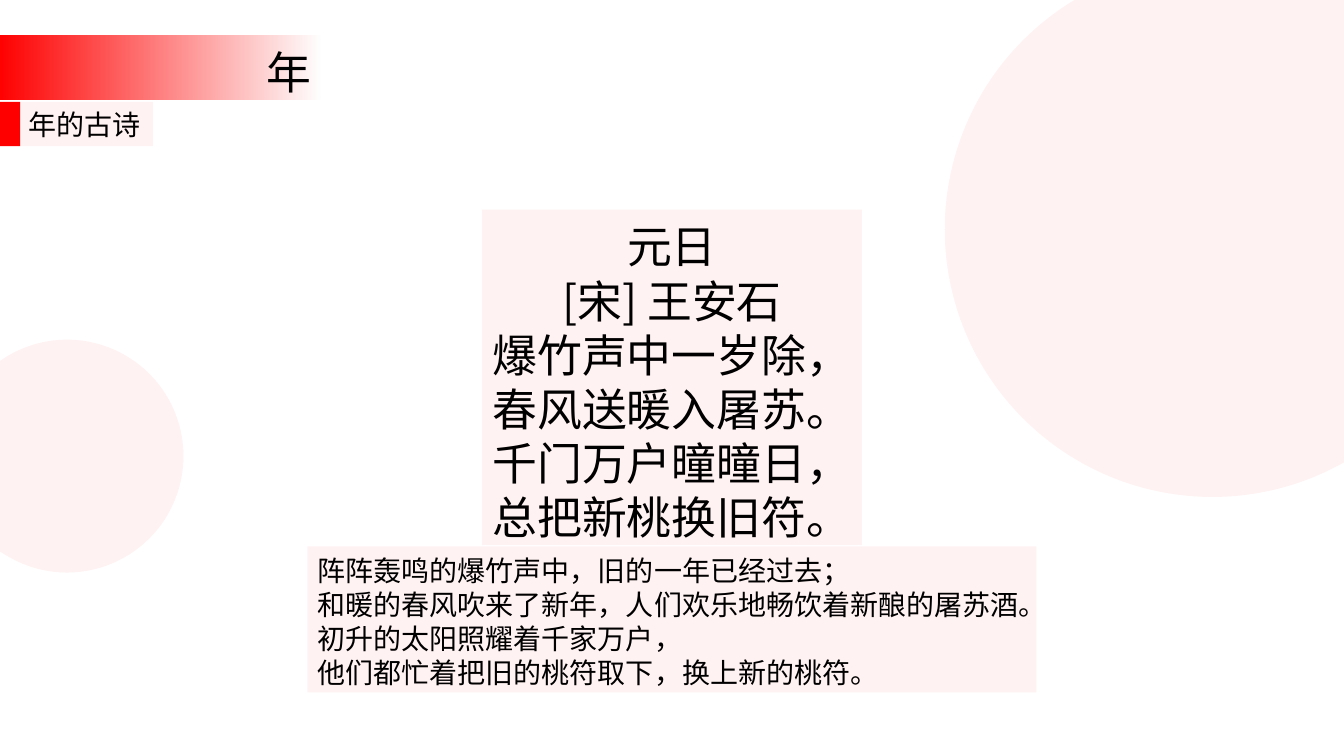
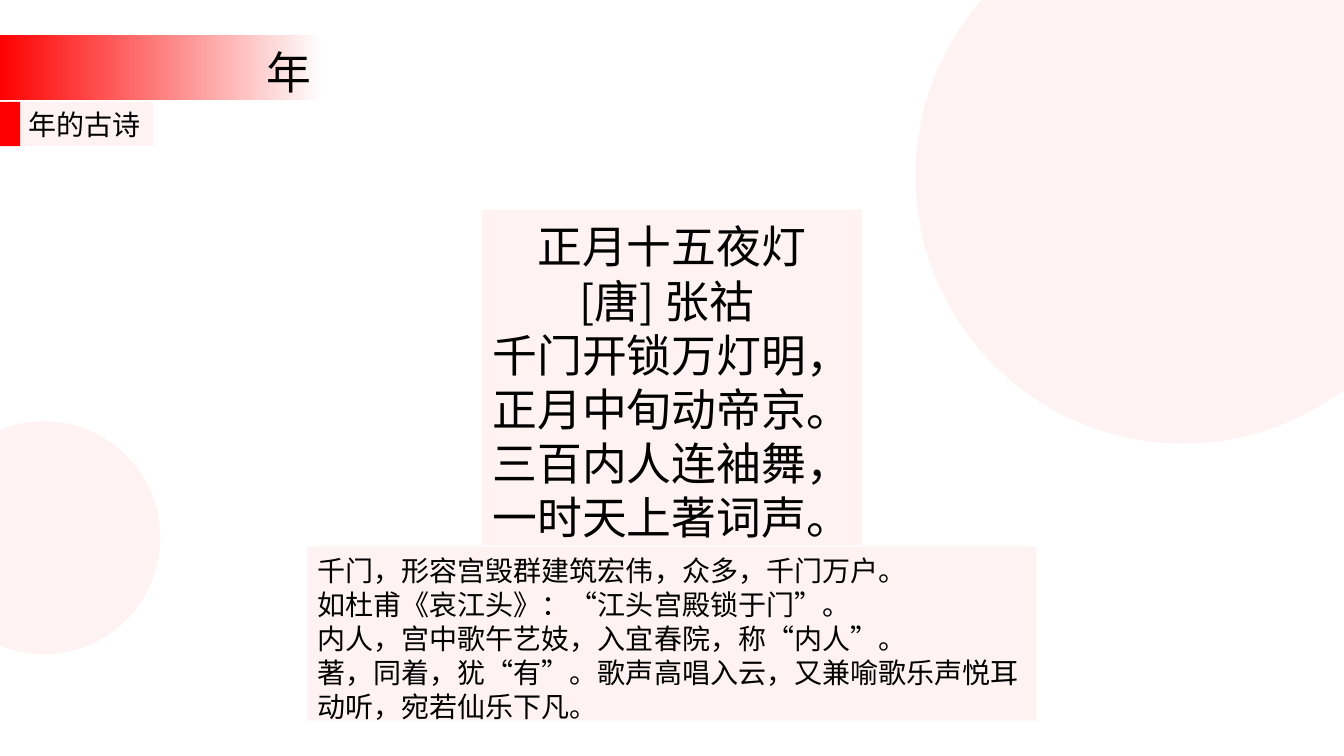
"""Build two slides presenting classical poems about the New Year."""
from dataclasses import dataclass

from lxml import etree
from pptx import Presentation
from pptx.dml.color import RGBColor
from pptx.enum.lang import MSO_LANGUAGE_ID
from pptx.enum.shapes import MSO_SHAPE
from pptx.enum.text import MSO_ANCHOR, PP_ALIGN
from pptx.oxml.ns import qn
from pptx.util import Inches, Pt

RECTANGLE = MSO_SHAPE.RECTANGLE
OVAL = MSO_SHAPE.OVAL
LEFT = PP_ALIGN.LEFT
CENTER = PP_ALIGN.CENTER
RIGHT = PP_ALIGN.RIGHT
TOP = MSO_ANCHOR.TOP
CHINESE = MSO_LANGUAGE_ID.SIMPLIFIED_CHINESE

RED = "FF0000"
BLACK = "000000"
CJK_FONT = "Noto Sans CJK SC"
EXPLANATION_FONT = "Arial"
TINT = 5
LINE_HEIGHT = 1.21
LARGE_CIRCLE = 5.31
SMALL_CIRCLE = 2.31


@dataclass(frozen=True)
class Box:
    left: float
    top: float
    width: float
    height: float


@dataclass(frozen=True)
class TextStyle:
    size: int
    align: PP_ALIGN
    font: str = CJK_FONT
    inset_left: float = 0.1
    inset_right: float = 0.1
    inset_top: float = 0.07


@dataclass(frozen=True)
class PoemSlide:
    large_circle: tuple[float, float]
    small_circle: tuple[float, float]
    poem: tuple[str, ...]
    explanation: tuple[str, ...]
    explanation_height: float


TITLE_BAND = Box(0, 0.35, 3.19, 0.64)
SECTION_MARK = Box(0, 1.01, 0.2, 0.44)
SECTION_LABEL = Box(0.2, 1.01, 1.32, 0.44)
POEM_PANEL = Box(4.78, 2.08, 3.77, 3.33)
TITLE_STYLE = TextStyle(32, RIGHT, inset_top=0.09)
SECTION_STYLE = TextStyle(20, LEFT, inset_left=0.08, inset_right=0, inset_top=0.05)
POEM_STYLE = TextStyle(32, CENTER, inset_top=0.09)
EXPLANATION_STYLE = TextStyle(20, LEFT, EXPLANATION_FONT)

POEM_SLIDES = (
    PoemSlide(
        (9.37, -0.38),
        (-0.49, 3.37),
        ("元日", "[宋] 王安石", "爆竹声中一岁除，", "春风送暖入屠苏。",
         "千门万户曈曈日，", "总把新桃换旧符。"),
        ("阵阵轰鸣的爆竹声中，旧的一年已经过去；",
         "和暖的春风吹来了新年，人们欢乐地畅饮着新酿的屠苏酒。",
         "初升的太阳照耀着千家万户，",
         "他们都忙着把旧的桃符取下，换上新的桃符。"),
        1.45,
    ),
    PoemSlide(
        (9.08, -0.91),
        (-0.72, 4.18),
        ("正月十五夜灯", "[唐] 张祜 ", "千门开锁万灯明，", "正月中旬动帝京。",
         "三百内人连袖舞，", "一时天上著词声。"),
        ("千门，形容宫毁群建筑宏伟，众多，千门万户。",
         "如杜甫《哀江头》：“江头宫殿锁于门”。",
         "内人，宫中歌午艺妓，入宜春院，称“内人”。",
         "著，同着，犹“有”。歌声高唱入云，又兼喻歌乐声悦耳动听，宛若仙乐下凡。"),
        1.73,
    ),
)


def rgb(value: str) -> RGBColor:
    """Turn a hex string into a colour."""
    return RGBColor.from_string(value)


def set_opacity(shape, percent: int) -> None:
    """Set the opacity of the last colour in the shape's fill."""
    colour = list(shape._element.spPr.iter(qn("a:srgbClr")))[-1]
    etree.SubElement(colour, qn("a:alpha")).set("val", str(percent * 1000))


def add_block(shapes, box: Box, opacity: int = TINT, kind: MSO_SHAPE = RECTANGLE):
    """Draw a borderless red shape with the given opacity."""
    block = shapes.add_shape(kind, Inches(box.left), Inches(box.top),
                             Inches(box.width), Inches(box.height))
    block.shadow.inherit = False
    block.line.fill.background()
    block.fill.solid()
    block.fill.fore_color.rgb = rgb(RED)
    if opacity < 100:
        set_opacity(block, opacity)
    return block


def write(shape, lines: tuple[str, ...], style: TextStyle) -> None:
    """Write one paragraph per line into a shape."""
    frame = shape.text_frame
    frame.word_wrap = True
    frame.vertical_anchor = TOP
    frame.margin_left = Inches(style.inset_left)
    frame.margin_right = Inches(style.inset_right)
    frame.margin_top = Inches(style.inset_top)
    frame.margin_bottom = 0
    frame.text = "\n".join(lines)
    for paragraph in frame.paragraphs:
        paragraph.alignment = style.align
        paragraph.line_spacing = Pt(round(style.size * LINE_HEIGHT, 1))
        for run in paragraph.runs:
            run.font.size = Pt(style.size)
            run.font.name = style.font
            run.font.language_id = CHINESE
            run.font.color.rgb = rgb(BLACK)
            east_asian = etree.Element(qn("a:ea"), typeface=CJK_FONT)
            run.font._element.find(qn("a:latin")).addnext(east_asian)


def add_heading(slide) -> None:
    """Draw the fading title band and the section label as one group."""
    shapes = slide.shapes.add_group_shape().shapes
    band = add_block(shapes, TITLE_BAND, 100)
    band.fill.gradient()
    band.fill.gradient_angle = 0
    for stop, position in zip(band.fill.gradient_stops, (0, 1)):
        stop.color.rgb = rgb(RED)
        stop.position = position
    set_opacity(band, 0)
    write(band, ("年",), TITLE_STYLE)
    write(add_block(shapes, SECTION_LABEL), ("年的古诗",), SECTION_STYLE)
    add_block(shapes, SECTION_MARK, 100)


def add_poem_slide(presentation, content: PoemSlide) -> None:
    """Add a slide with background circles, heading, poem and explanation."""
    slide = presentation.slides.add_slide(presentation.slide_layouts[6])
    for corner, diameter in ((content.large_circle, LARGE_CIRCLE),
                             (content.small_circle, SMALL_CIRCLE)):
        add_block(slide.shapes, Box(*corner, diameter, diameter), kind=OVAL)
    add_heading(slide)
    write(add_block(slide.shapes, POEM_PANEL), content.poem, POEM_STYLE)
    explanation_panel = Box(3.05, 5.42, 7.23, content.explanation_height)
    write(add_block(slide.shapes, explanation_panel),
          content.explanation, EXPLANATION_STYLE)


def main() -> None:
    """Create and save the presentation."""
    presentation = Presentation()
    presentation.slide_width = Inches(13.33)
    presentation.slide_height = Inches(7.5)
    for content in POEM_SLIDES:
        add_poem_slide(presentation, content)
    presentation.save("out.pptx")


if __name__ == "__main__":
    main()
